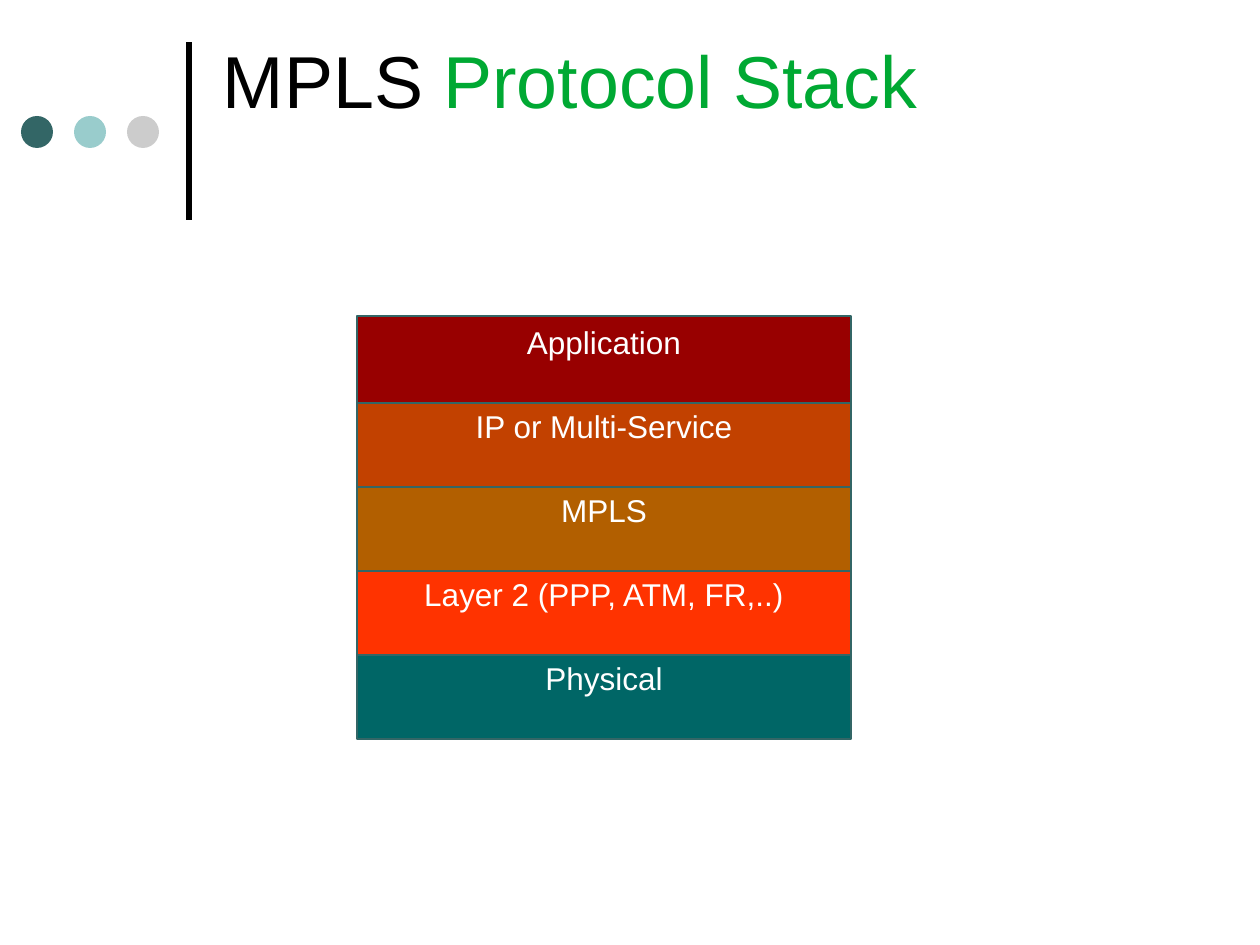
import pptx
import pptx.util
from pptx.dml.color import RGBColor
from pptx.enum.shapes import MSO_CONNECTOR, MSO_SHAPE
from pptx.enum.text import MSO_ANCHOR, PP_ALIGN
from pptx.oxml.ns import qn
from lxml import etree

BLACK = RGBColor(0x00, 0x00, 0x00)
WHITE = RGBColor(0xFF, 0xFF, 0xFF)
GREEN = RGBColor(0x00, 0xA9, 0x33)
DARK_TEAL = RGBColor(0x33, 0x66, 0x66)
PALE_TEAL = RGBColor(0x99, 0xCC, 0xCC)
GREY = RGBColor(0xCC, 0xCC, 0xCC)
TEAL = RGBColor(0x00, 0x66, 0x66)
RED = RGBColor(0xFF, 0x33, 0x00)
OCHRE = RGBColor(0xB2, 0x5F, 0x00)
RUST = RGBColor(0xC2, 0x41, 0x00)
MAROON = RGBColor(0x98, 0x00, 0x00)

PX_PER_INCH = 126


def px(n):
    return pptx.util.Emu(round(n * 914400 / PX_PER_INCH))


class SlideBuilder:
    font = "Arial"

    def __init__(self, slide):
        self.slide = slide

    def frame(self, shape, anchor, inset_x, inset_y):
        tf = shape.text_frame
        tf.word_wrap = True
        tf.vertical_anchor = anchor
        tf.margin_left = tf.margin_right = px(inset_x)
        tf.margin_top = tf.margin_bottom = px(inset_y)
        return tf

    def line(self, x1, y1, x2, y2, color, width):
        s = self.slide.shapes.add_connector(
            MSO_CONNECTOR.STRAIGHT, px(x1), px(y1), px(x2), px(y2))
        s.line.color.rgb = color
        s.line.width = pptx.util.Pt(width)
        etree.SubElement(s._element.spPr, qn("a:effectLst"))

    def shape(self, kind, x, y, w, h, fill, outline=None):
        s = self.slide.shapes.add_shape(kind, px(x), px(y), px(w), px(h))
        s.shadow.inherit = False
        s.fill.solid()
        s.fill.fore_color.rgb = fill
        if outline is None:
            s.line.fill.background()
        else:
            s.line.color.rgb = outline
            s.line.width = pptx.util.Pt(0.75)
        return s

    def layer(self, x, y, w, h, text, fill):
        s = self.shape(MSO_SHAPE.RECTANGLE, x, y, w, h, fill, DARK_TEAL)
        p = self.frame(s, MSO_ANCHOR.TOP, 11, 7).paragraphs[0]
        p.text = text
        p.alignment = PP_ALIGN.CENTER
        p.font.name = self.font
        p.font.size = pptx.util.Pt(18)
        p.font.color.rgb = WHITE

    def title(self, x, y, w, h, parts):
        s = self.slide.shapes.add_textbox(px(x), px(y), px(w), px(h))
        p = self.frame(s, MSO_ANCHOR.MIDDLE, 13, 6).paragraphs[0]
        p.font.name = self.font
        p.font.size = pptx.util.Pt(42)
        for text, color in parts:
            r = p.add_run()
            r.text = text
            r.font.color.rgb = color


def main():
    prs = pptx.Presentation()
    prs.slide_width, prs.slide_height = px(1260), px(945)
    builder = SlideBuilder(prs.slides.add_slide(prs.slide_layouts[6]))

    # Header decoration
    builder.line(189, 220, 189, 42, BLACK, 3)
    for i, color in enumerate((DARK_TEAL, PALE_TEAL, GREY)):
        builder.shape(MSO_SHAPE.OVAL, 21 + 53 * i, 116, 32, 32, color)

    # Title
    builder.title(210, 26, 966, 106,
                  [("MPLS ", BLACK), ("Protocol Stack", GREEN)])

    # Protocol layers, stacked from the bottom up
    layers = [
        ("Physical", TEAL),
        ("Layer 2 (PPP, ATM, FR,..)", RED),
        ("MPLS", OCHRE),
        ("IP or Multi-Service", RUST),
        ("Application", MAROON),
    ]
    for i, (text, fill) in enumerate(layers):
        builder.layer(357, 652 - 84 * i, 494, 87, text, fill)

    prs.save("out.pptx")


if __name__ == "__main__":
    main()
